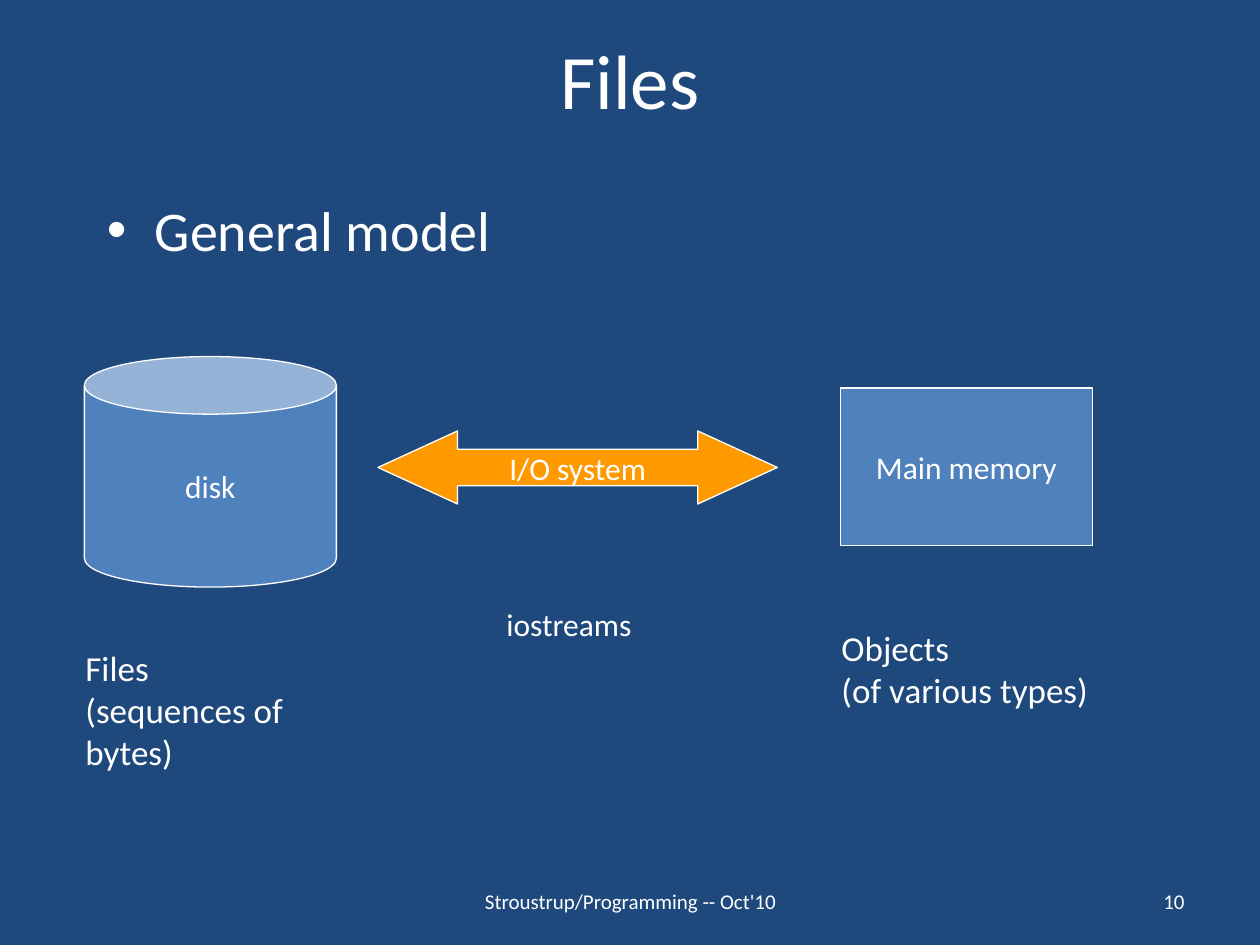
from lxml import etree
from pptx import Presentation
from pptx.dml.color import RGBColor
from pptx.enum.shapes import MSO_SHAPE
from pptx.enum.text import MSO_ANCHOR, PP_ALIGN
from pptx.oxml.ns import qn
from pptx.util import Inches, Pt

LEFT, MID, RIGHT = PP_ALIGN.LEFT, PP_ALIGN.CENTER, PP_ALIGN.RIGHT
TOP, CENTER = MSO_ANCHOR.TOP, MSO_ANCHOR.MIDDLE
CAN, ARROW, RECT = MSO_SHAPE.CAN, MSO_SHAPE.LEFT_RIGHT_ARROW, MSO_SHAPE.RECTANGLE
COLORS = {"back": "1F497D", "text": "FFFFFF", "store": "4F81BD", "flow": "FF9900"}
FONT = "Calibri"


def color(name):
    return RGBColor.from_string(COLORS[name])


def write(frame, text, size=18, align=LEFT, anchor=TOP, wrap=True):
    frame.word_wrap = wrap
    frame.vertical_anchor = anchor
    frame.text = text
    for para in frame.paragraphs:
        para.alignment = align
        for run in para.runs:
            run.font.name = FONT
            run.font.size = Pt(size)
            run.font.color.rgb = color("text")


class Deck:
    def __init__(self):
        self.file = Presentation()
        self.file.slide_width = Inches(10)
        self.file.slide_height = Inches(7.5)
        self.slide = self.file.slides.add_slide(self.file.slide_layouts[6])
        fill = self.slide.background.fill
        fill.solid()
        fill.fore_color.rgb = color("back")

    def label(self, text, box, **style):
        item = self.slide.shapes.add_textbox(*map(Inches, box))
        write(item.text_frame, text, **style)
        return item

    def bullet(self, text, box, **style):
        item = self.label(text, box, **style)
        props = item.text_frame.paragraphs[0]._p.get_or_add_pPr()
        props.set("marL", str(Inches(0.38)))
        props.set("indent", str(-Inches(0.38)))
        etree.SubElement(props, qn("a:buFont")).set("typeface", "Arial")
        etree.SubElement(props, qn("a:buChar")).set("char", "•")

    def shape(self, kind, text, box, fill, adjust=()):
        item = self.slide.shapes.add_shape(kind, *map(Inches, box))
        item.shadow.inherit = False
        item.fill.solid()
        item.fill.fore_color.rgb = color(fill)
        item.line.color.rgb = color("text")
        item.line.width = Pt(0.75)
        for index, value in enumerate(adjust):
            item.adjustments[index] = value
        write(item.text_frame, text, align=MID, anchor=CENTER, wrap=False)


def main():
    deck = Deck()
    deck.label("Files", (0.75, 0, 8.5, 1.25), size=44, align=MID, anchor=CENTER)
    deck.bullet("General model", (0.75, 1.5, 8.5, 0.92), size=32)

    deck.shape(CAN, "disk", (0.67, 2.83, 2, 1.83), "store", (0.25,))
    deck.shape(ARROW, "I/O system", (3, 3.42, 3.17, 0.58), "flow", (0.5, 1.09))
    deck.shape(RECT, "Main memory", (6.67, 3.08, 2, 1.25), "store")

    deck.label("Files\n(sequences of bytes)", (0.58, 5.08, 2.2, 0.77), size=20)
    deck.label("iostreams", (3.92, 4.75, 1.48, 0.5))
    deck.label("Objects\v(of various types)", (6.58, 4.92, 2.92, 0.77), size=20)

    foot = {"size": 12, "anchor": CENTER}
    deck.label("Stroustrup/Programming -- Oct'10", (3.42, 6.95, 3.17, 0.4), align=MID, **foot)
    deck.label("10", (7.17, 6.95, 2.33, 0.4), align=RIGHT, **foot)
    deck.file.save("out.pptx")


if __name__ == "__main__":
    main()
